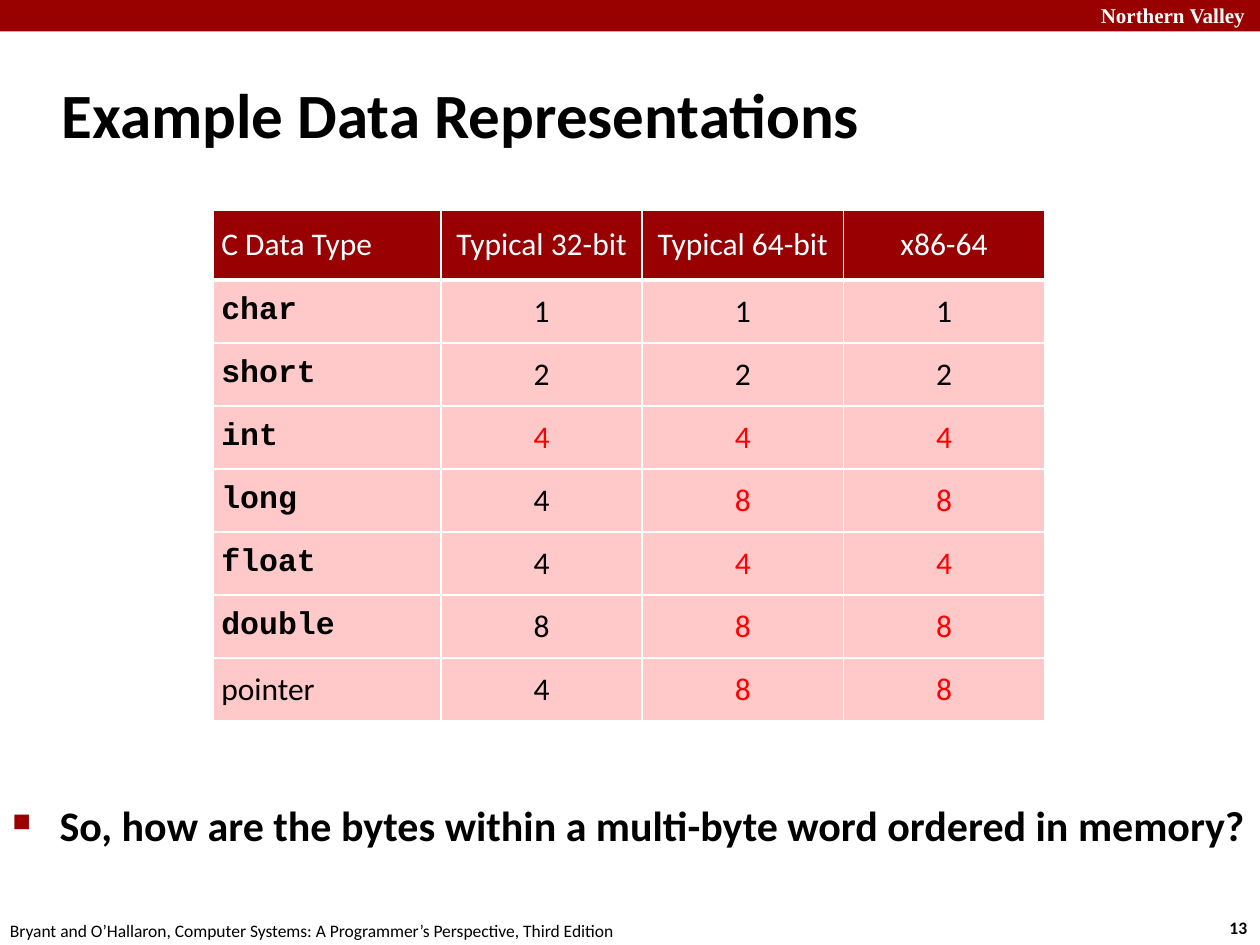
from lxml import etree
from pptx import Presentation
from pptx.dml.color import RGBColor
from pptx.enum.shapes import MSO_SHAPE
from pptx.enum.text import MSO_ANCHOR, PP_ALIGN
from pptx.oxml.ns import qn
from pptx.util import Pt

RECTANGLE = MSO_SHAPE.RECTANGLE
MIDDLE, TOP = MSO_ANCHOR.MIDDLE, MSO_ANCHOR.TOP
LEFT, CENTER = PP_ALIGN.LEFT, PP_ALIGN.CENTER
TITLE_ONLY = 5

CRIMSON, HEADER_RED, PINK = "990000", "980002", "FFC8C9"
BLACK, WHITE, RED = "000000", "FFFFFF", "FF0000"
BODY_FONT, CODE_FONT = "Calibri", "Courier New"

HEADINGS = ["C Data Type", "Typical 32-bit", "Typical 64-bit", "x86-64"]
# Type name, its sizes, and the first column of sizes shown in red
TYPE_SIZES = [
    ("char", (1, 1, 1), 4),
    ("short", (2, 2, 2), 4),
    ("int", (4, 4, 4), 1),
    ("long", (4, 8, 8), 2),
    ("float", (4, 4, 4), 2),
    ("double", (8, 8, 8), 2),
    ("pointer", (4, 8, 8), 2),
]


def color(code):
    return RGBColor.from_string(code)


def set_fill(item, code):
    item.fill.solid()
    item.fill.fore_color.rgb = color(code)


def set_values(item, values):
    for name, value in values.items():
        setattr(item, name, value)


def write_text(frame, text, size, font=BODY_FONT, ink=BLACK, bold=False, align=LEFT):
    para = frame.paragraphs[0]
    para.alignment = align
    span = para.add_run()
    span.text = text
    set_values(span.font, {"size": Pt(size), "name": font, "bold": bold})
    span.font.color.rgb = color(ink)
    return para


def add_text(page, box, text, size, wrap=False, **style):
    shape = page.shapes.add_textbox(*map(Pt, box))
    set_values(shape.text_frame, {"word_wrap": wrap, "vertical_anchor": TOP})
    return write_text(shape.text_frame, text, size, **style)


def set_indent(para, margin):
    properties = para._p.get_or_add_pPr()
    properties.set("marL", str(Pt(margin)))
    properties.set("indent", str(-Pt(margin)))
    return properties


def add_banner(page, left, top, width, height):
    bar = page.shapes.add_shape(RECTANGLE, *map(Pt, (left, top, width, height)))
    bar.shadow.inherit = False
    set_fill(bar, CRIMSON)
    bar.line.fill.background()
    add_text(page, (left + width - 98, top - 2, 103, 21.6), "Northern Valley", 12,
             wrap=True, font="Times New Roman", ink=WHITE, bold=True)


def add_title(page, left, top, width, height, text):
    title = page.shapes.title
    set_values(title, {"left": Pt(left), "top": Pt(top),
                       "width": Pt(width), "height": Pt(height)})
    set_values(title.text_frame, {"word_wrap": True, "vertical_anchor": MIDDLE})
    set_indent(write_text(title.text_frame, text, 36, bold=True), 9)


def set_borders(cell, widths):
    properties = cell._tc.get_or_add_tcPr()
    for position, (side, width) in enumerate(widths.items()):
        line = etree.Element(qn("a:" + side), w=str(Pt(width)))
        fill = etree.SubElement(line, qn("a:solidFill"))
        etree.SubElement(fill, qn("a:srgbClr"), val=WHITE)
        properties.insert(position, line)


def fill_cell(cell, row, column, text, **style):
    margins = ("margin_left", "margin_right", "margin_top", "margin_bottom")
    set_values(cell, dict.fromkeys(margins, Pt(4.5)))
    cell.vertical_anchor = MIDDLE
    set_fill(cell, PINK if row else HEADER_RED)
    set_borders(cell, {"lnL": 1, "lnR": 1,
                       "lnT": 3 if row == 1 else 1, "lnB": 1 if row else 3})
    write_text(cell.text_frame, text, 18, align=CENTER if column else LEFT, **style)


def add_size_table(page, left, top, width, height):
    row_count, column_count = len(TYPE_SIZES) + 1, len(HEADINGS)
    table = page.shapes.add_table(row_count, column_count,
                                  *map(Pt, (left, top, width, height))).table
    # The first row and column are a little larger than the rest
    size_width, size_height = 115, 36
    for column in table.columns:
        column.width = Pt(size_width)
    for row in table.rows:
        row.height = Pt(size_height)
    table.columns[0].width = Pt(width - size_width * (column_count - 1))
    table.rows[0].height = Pt(height - size_height * (row_count - 1))

    for column, heading in enumerate(HEADINGS):
        fill_cell(table.cell(0, column), 0, column, heading, ink=WHITE)
    for row, (name, sizes, first_red) in enumerate(TYPE_SIZES, 1):
        is_code = name != "pointer"
        fill_cell(table.cell(row, 0), row, 0, name, bold=is_code,
                  font=CODE_FONT if is_code else BODY_FONT)
        for column, size in enumerate(sizes, 1):
            fill_cell(table.cell(row, column), row, column, str(size),
                      ink=RED if column >= first_red else BLACK)


def add_question(page, left, top, width, height, text):
    para = add_text(page, (left, top, width, height), text, 24, wrap=True, bold=True)
    properties = set_indent(para, 27)
    before = etree.SubElement(properties, qn("a:spcBef"))
    etree.SubElement(before, qn("a:spcPct"), val="20000")
    bullet_color = etree.SubElement(properties, qn("a:buClr"))
    etree.SubElement(bullet_color, qn("a:srgbClr"), val=CRIMSON)
    etree.SubElement(properties, qn("a:buSzPct"), val="60000")
    etree.SubElement(properties, qn("a:buChar"), char="■")


def add_footer(page, left, top, width, height):
    add_text(page, (left - 1.4, top, 366, height),
             "Bryant and O’Hallaron, Computer Systems: "
             "A Programmer’s Perspective, Third Edition", 10)
    add_text(page, (left + width - 24.5, top - 1.5, 26.6, height), "13", 10, bold=True)


deck = Presentation()
set_values(deck, {"slide_width": Pt(720), "slide_height": Pt(540)})
page = deck.slides.add_slide(deck.slide_layouts[TITLE_ONLY])
add_banner(page, 0, 0, 720, 18)
add_footer(page, 0, 522, 720, 19.4)
add_title(page, 28, 34.5, 598, 60, "Example Data Representations")
add_size_table(page, 122, 120, 475, 292)
add_question(page, 0, 453.6, 720, 36,
             "So, how are the bytes within a multi-byte word ordered in memory?")
deck.save("out.pptx")
